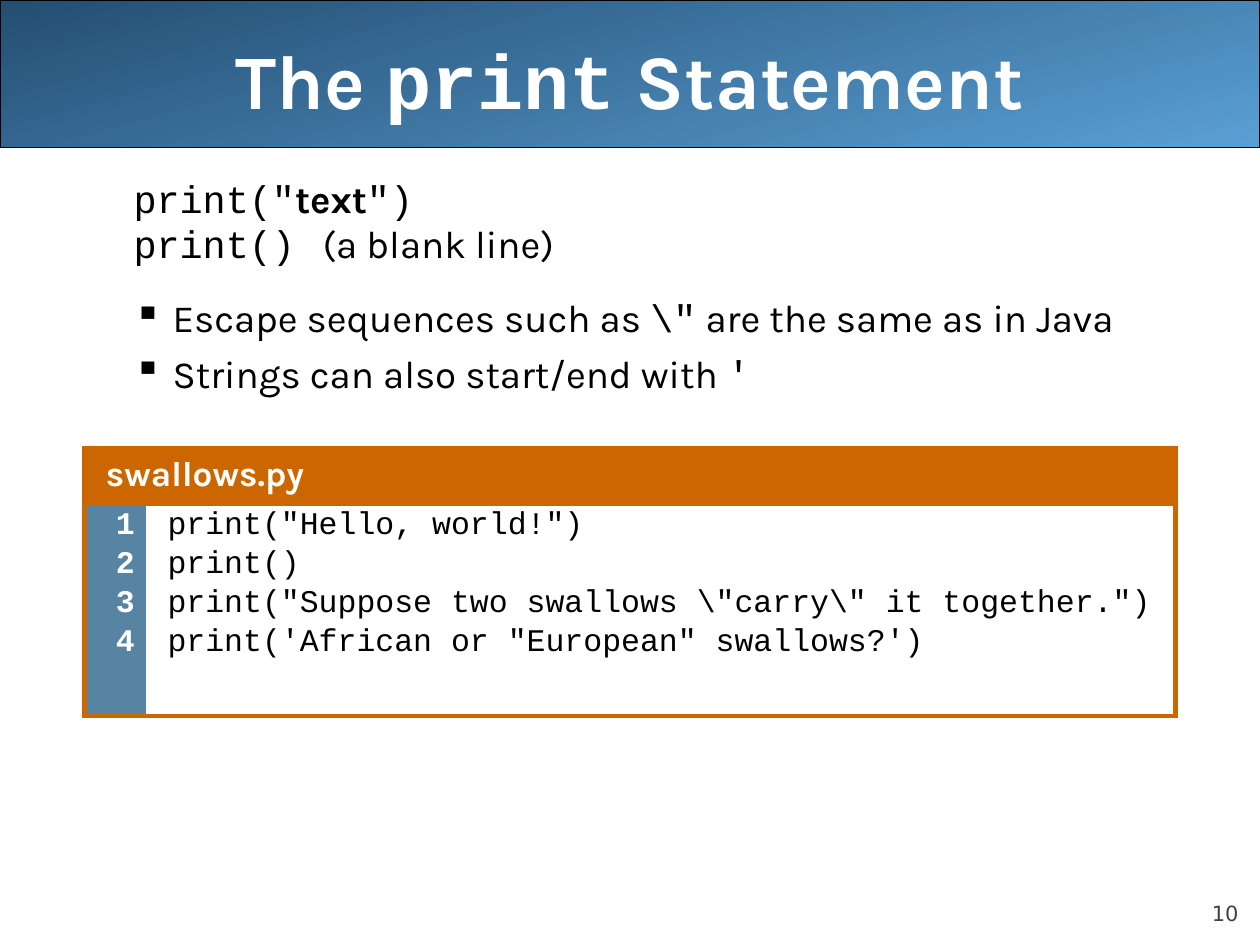
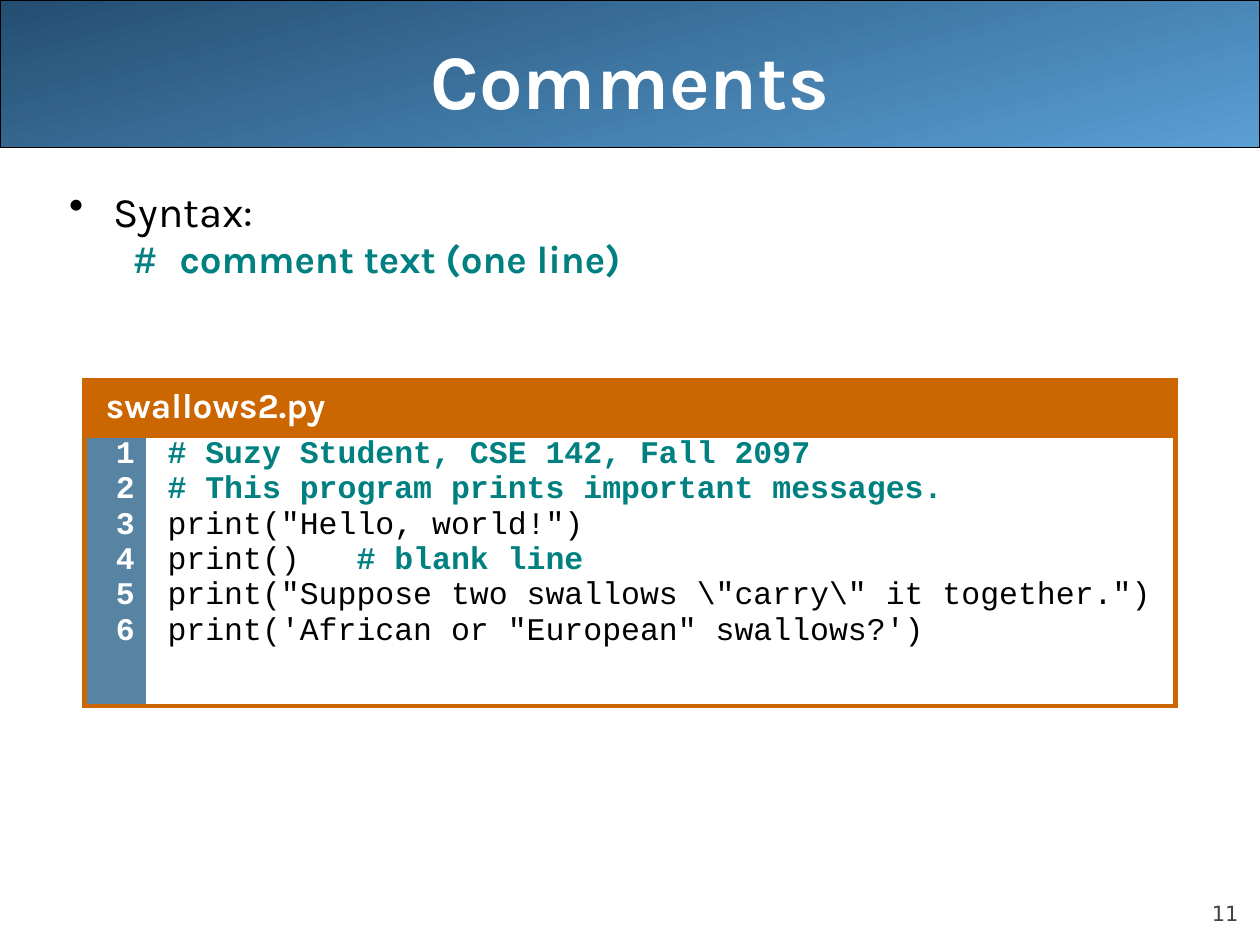
import pptx
import pptx.dml.color
import pptx.enum.shapes
import pptx.enum.text
import pptx.oxml
import pptx.oxml.ns
import pptx.util

Pt = pptx.util.Pt
ALIGN = pptx.enum.text.PP_ALIGN
ANCHOR = pptx.enum.text.MSO_ANCHOR

SANS, MONO, NUMBER_FONT = "Karla", "Courier New", "DejaVu Sans"
WHITE, BLACK, GREY, TEAL = "FFFFFF", "000000", "424242", "008080"
ORANGE, GUTTER_BLUE = "CC6600", "5784A3"
BAND_DARK, BAND_LIGHT = "244E72", "5A9FD4"
BAND_HEIGHT = 84.24
TABLE_LEFT, GUTTER_WIDTH, CODE_WIDTH, HEADER_HEIGHT = 48.24, 35.28, 588.24, 30.24


def sans(text, color=BLACK, bold=False):
    return text, SANS, color, bold


def mono(text, color=BLACK, bold=False):
    return text, MONO, color, bold


def comment(text):
    return mono(text, TEAL, True)


# Each body line: spans, then size and paragraph layout.
SYNTAX = dict(size=22, line=0.77, before=5.5)
SQUARE = dict(size=22, before=5.5, margin=22.3, bullet="▪")
HELLO = [mono('print("Hello, world!")')]
SWALLOWS = [
    [mono('print("Suppose two swallows \\"carry\\" it together.")')],
    [mono("print('African or \"European\" swallows?')")],
]

PAGES = [
    dict(
        number=10,
        title=[sans("The ", WHITE, True), mono("print", WHITE, True),
               sans(" Statement", WHITE, True)],
        body_inset=52.6,
        body=[
            ([mono('print("'), sans("text", bold=True), mono('")')], SYNTAX),
            ([mono("print()\t"), sans("(a blank line)")], {**SYNTAX, "tab": 94.4}),
            ([sans("Escape sequences such as "), mono('\\"'),
              sans(" are the same as in Java")], {**SQUARE, "before": 16}),
            ([sans("Strings can also start/end with "), mono("'")], SQUARE),
        ],
        file="swallows.py", table_top=256.32, code_height=121.68, code_line=0.87,
        code=[HELLO, [mono("print()")], *SWALLOWS],
    ),
    dict(
        number=11,
        title=[sans("Comments", WHITE, True)],
        body_inset=15.8,
        body=[
            ([sans("Syntax:")], dict(size=24, before=6, margin=25.2, bullet="•")),
            ([comment("# "), sans("comment text (one line)", TEAL, True)],
             {**SYNTAX, "margin": 36.8}),
        ],
        file="swallows2.py", table_top=217.44, code_height=154.8, code_line=0.77,
        code=[
            [comment("# Suzy Student, CSE 142, Fall 2097")],
            [comment("# This program prints important messages.")],
            HELLO,
            [mono("print()\t"), comment("# blank line")],
            *SWALLOWS,
        ],
    ),
]


def rgb(value):
    return pptx.dml.color.RGBColor.from_string(value)


def append_xml(parent, xml):
    namespace = pptx.oxml.ns.nsdecls("a")
    parent.append(pptx.oxml.parse_xml(xml.replace("NS", namespace, 1)))


def write_para(para, spans, size, before=0, line=None, align=ALIGN.LEFT,
               margin=0, bullet=None, tab=None):
    para.alignment = align
    para.space_before = Pt(before)
    if line:
        para.line_spacing = line
    properties = para._p.get_or_add_pPr()
    properties.set("marL", str(Pt(margin)))
    properties.set("indent", str(Pt(-margin if bullet else 0)))
    if bullet:
        append_xml(properties, f'<a:buClr NS><a:srgbClr val="{BLACK}"/></a:buClr>')
        append_xml(properties, f'<a:buChar NS char="{bullet}"/>')
    if tab:
        append_xml(properties,
                   f'<a:tabLst NS><a:tab pos="{Pt(tab)}" algn="l"/></a:tabLst>')
    for text, font, color, bold in spans:
        span = para.add_run()
        span.text = text
        span.font.name, span.font.size, span.font.bold = font, Pt(size), bold
        span.font.color.rgb = rgb(color)


def write_lines(frame, lines):
    """Fill a text frame from (spans, layout) pairs."""
    for index, (spans, layout) in enumerate(lines):
        para = frame.add_paragraph() if index else frame.paragraphs[0]
        write_para(para, spans, **layout)


def add_text(page, left, top, width, height, lines, anchor=ANCHOR.TOP, insets=None):
    box = page.shapes.add_textbox(Pt(left), Pt(top), Pt(width), Pt(height))
    frame = box.text_frame
    frame.word_wrap = True
    frame.vertical_anchor = anchor
    if insets:
        (frame.margin_left, frame.margin_top,
         frame.margin_right, frame.margin_bottom) = map(Pt, insets)
    write_lines(frame, lines)


def add_band(page):
    band = page.shapes.add_shape(
        pptx.enum.shapes.MSO_SHAPE.ROUNDED_RECTANGLE, 0, 0, Pt(720), Pt(BAND_HEIGHT))
    band.adjustments[0] = 0
    band.shadow.inherit = False
    band.fill.gradient()
    band.fill.gradient_angle = 360 - 75
    for stop, position, color in zip(band.fill.gradient_stops, (0, 1),
                                     (BAND_DARK, BAND_LIGHT)):
        stop.position = position
        stop.color.rgb = rgb(color)
    band.line.color.rgb = rgb(BLACK)
    band.line.width = Pt(0.75)


def fill_cell(cell, color, edges, lines, right_inset=3.6, left_inset=12.24):
    """Write a cell and draw a border on the edges named by letters of LRTB."""
    cell.margin_left, cell.margin_right = Pt(left_inset), Pt(right_inset)
    cell.margin_top = cell.margin_bottom = Pt(3.6)
    properties = cell._tc.get_or_add_tcPr()
    for edge in "LRTB":
        paint = (f'<a:solidFill><a:srgbClr val="{ORANGE}"/></a:solidFill>'
                 if edge in edges else "<a:noFill/>")
        append_xml(properties, f'<a:ln{edge} NS w="{Pt(3)}">{paint}</a:ln{edge}>')
    cell.fill.solid()
    cell.fill.fore_color.rgb = rgb(color)
    write_lines(cell.text_frame, lines)


def add_listing(page, content):
    frame = page.shapes.add_table(
        2, 2, Pt(TABLE_LEFT), Pt(content["table_top"]),
        Pt(GUTTER_WIDTH + CODE_WIDTH), Pt(HEADER_HEIGHT + content["code_height"]))
    table = frame.table
    table.first_row = table.horz_banding = False
    for column, width in zip(table.columns, (GUTTER_WIDTH, CODE_WIDTH)):
        column.width = Pt(width)
    for row, height in zip(table.rows, (HEADER_HEIGHT, content["code_height"])):
        row.height = Pt(height)

    table.cell(0, 0).merge(table.cell(0, 1))
    file_name = [sans(content["file"], WHITE, True)]
    fill_cell(table.cell(0, 0), ORANGE, "LRTB",
              [(file_name, dict(size=20, before=5))])
    fill_cell(table.cell(0, 1), ORANGE, "LRTB", [])

    layout = dict(size=18, before=4.5, line=content["code_line"])
    numbers = [([mono(str(number), WHITE, True)], {**layout, "align": ALIGN.RIGHT})
               for number in range(1, len(content["code"]) + 1)]
    fill_cell(table.cell(1, 0), GUTTER_BLUE, "LTB", numbers, right_inset=6.48)
    comment_column = 25 * 10.8
    code = [(spans, {**layout, "tab": comment_column}) for spans in content["code"]]
    fill_cell(table.cell(1, 1), WHITE, "RTB", code, right_inset=12.96)


def add_page(deck, content):
    page = deck.slides.add_slide(deck.slide_layouts[6])
    add_band(page)
    number = (str(content["number"]), NUMBER_FONT, GREY, False)
    add_text(page, 648, 500.4, 59.76, 28.8,
             [([number], dict(size=12, before=5, align=ALIGN.RIGHT))],
             ANCHOR.BOTTOM, (0, 0, 0, 0))
    add_text(page, 36, 0, 648, 90,
             [(content["title"], dict(size=44, align=ALIGN.CENTER))], ANCHOR.MIDDLE)
    add_text(page, 23.76, 102.24, 684, 390.24, content["body"],
             insets=(content["body_inset"], 3.6, 7.2, 3.6))
    add_listing(page, content)


def main():
    deck = pptx.Presentation()
    deck.slide_width, deck.slide_height = Pt(720), Pt(540)
    for content in PAGES:
        add_page(deck, content)
    deck.save("out.pptx")


if __name__ == "__main__":
    main()
